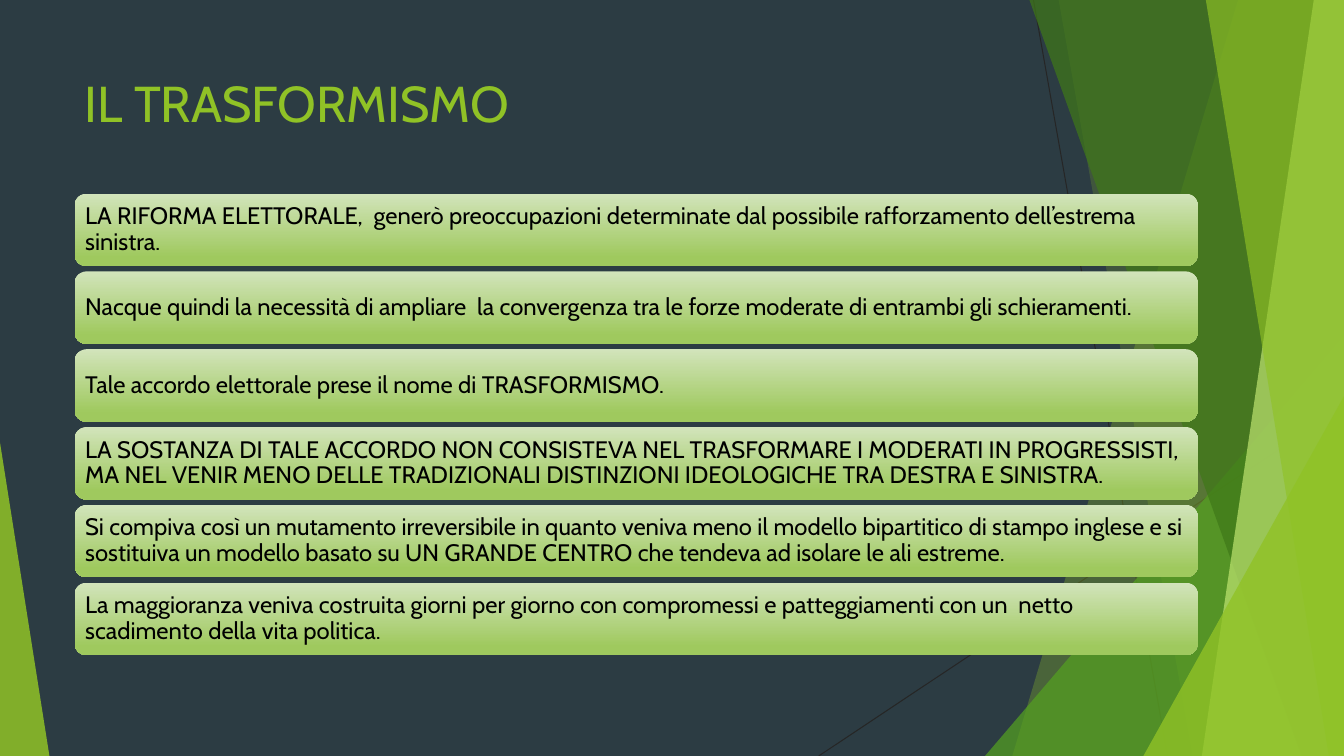
from dataclasses import dataclass

import pptx
import pptx.dml.color
import pptx.enum.shapes
import pptx.enum.text
import pptx.oxml.ns
import pptx.util
from lxml import etree

PX = 9144  # EMU per px, 100 px to the inch
W, H = 1333, 750
FONT = "Cabin"
GREEN = "90C226"
SHAPE = pptx.enum.shapes.MSO_SHAPE
ANCHOR = pptx.enum.text.MSO_ANCHOR
LEFT = pptx.enum.text.PP_ALIGN.LEFT


@dataclass
class Line:
    start: tuple[int, int]
    end: tuple[int, int]


@dataclass
class Band:
    """Strip from a slanted left edge to the slide's right side."""
    top_x: int
    bottom_x: int
    color: str
    opacity: int


@dataclass
class Triangle:
    x: int
    y: int
    w: int
    apex: float
    color: str
    opacity: int


LINES = [Line((1025, 0), (1158, H)), Line((W, 403), (812, H))]
FACETS = [
    Band(1228, 1004, GREEN, 30),
    Band(1050, 1183, GREEN, 20),
    Triangle(977, 333, 356, 1, "54A021", 72),
    Band(1021, 1291, "3F7818", 70),
    Band(1303, 1192, "BFE471", 70),
    Band(1196, 1318, GREEN, 65),
    Triangle(1134, 393, 199, 1, GREEN, 80),
    Triangle(0, 439, 49, 0, GREEN, 85),
]
POINTS = [
    "LA RIFORMA ELETTORALE,  generò preoccupazioni determinate dal possibile "
    "rafforzamento dell’estrema sinistra.",
    "Nacque quindi la necessità di ampliare  la convergenza tra le forze moderate "
    "di entrambi gli schieramenti.",
    "Tale accordo elettorale prese il nome di TRASFORMISMO.",
    "LA SOSTANZA DI TALE ACCORDO NON CONSISTEVA NEL TRASFORMARE I MODERATI IN "
    "PROGRESSISTI, MA NEL VENIR MENO DELLE TRADIZIONALI DISTINZIONI IDEOLOGICHE "
    "TRA DESTRA E SINISTRA.",
    "Si compiva così un mutamento irreversibile in quanto veniva meno il modello "
    "bipartitico di stampo inglese e si sostituiva un modello basato su UN GRANDE "
    "CENTRO che tendeva ad isolare le ali estreme.",
    "La maggioranza veniva costruita giorni per giorno con compromessi e "
    "patteggiamenti con un  netto scadimento della vita politica.",
]
FIRST_TOP, LAST_TOP = 192, 578


def px(*values: float) -> list[int]:
    return [round(v * PX) for v in values]


def rgb(color: str) -> pptx.dml.color.RGBColor:
    return pptx.dml.color.RGBColor.from_string(color)


def style_text(p, size: int, color: str) -> None:
    p.alignment = LEFT
    p.font.name = FONT
    p.font.size = pptx.util.Pt(size)
    p.font.color.rgb = rgb(color)


def set_insets(tf, x: int, y: int) -> None:
    tf.margin_left = tf.margin_right = x * PX
    tf.margin_top = tf.margin_bottom = y * PX


def draw_line(s, line: Line) -> None:
    c = s.shapes.add_connector(pptx.enum.shapes.MSO_CONNECTOR.STRAIGHT,
                               *px(*line.start, *line.end))
    c.line.color.rgb = rgb("262626")
    c.line.width = pptx.util.Pt(0.75)
    etree.SubElement(c._element.spPr, pptx.oxml.ns.qn("a:effectLst"))


def draw_facet(s, facet: Band | Triangle) -> None:
    if isinstance(facet, Band):
        builder = s.shapes.build_freeform(*px(facet.top_x, 0))
        corners = [(W, 0), (W, H), (facet.bottom_x, H)]
        builder.add_line_segments([px(*corner) for corner in corners], close=True)
        sp = builder.convert_to_shape()
    else:
        sp = s.shapes.add_shape(SHAPE.ISOSCELES_TRIANGLE,
                                *px(facet.x, facet.y, facet.w, H - facet.y))
        sp.adjustments[0] = facet.apex
    sp.shadow.inherit = False
    sp.line.fill.background()
    sp.fill.solid()
    sp.fill.fore_color.rgb = rgb(facet.color)
    color = sp._element.spPr.find(".//" + pptx.oxml.ns.qn("a:srgbClr"))
    alpha = etree.SubElement(color, pptx.oxml.ns.qn("a:alpha"))
    alpha.set("val", str(facet.opacity * 1000))


def draw_point(s, top: float, text: str) -> None:
    sp = s.shapes.add_shape(SHAPE.ROUNDED_RECTANGLE, *px(74, top, 1114, 72))
    sp.shadow.inherit = False
    sp.line.fill.background()
    sp.fill.gradient()
    sp.fill.gradient_angle = 270
    for stop, (position, color) in zip(sp.fill.gradient_stops,
                                       [(0, "D2E4BB"), (0.88, "9FC95E")]):
        stop.position = position
        stop.color.rgb = rgb(color)
    tf = sp.text_frame
    tf.word_wrap = True
    tf.vertical_anchor = ANCHOR.MIDDLE
    set_insets(tf, 7, 7)
    p = tf.paragraphs[0]
    p.text = text
    p.line_spacing = 0.9
    style_text(p, 17, "000000")


def main() -> None:
    prs = pptx.Presentation()
    prs.slide_width, prs.slide_height = px(W, H)
    s = prs.slides.add_slide(prs.slide_layouts[5])
    s.background.fill.solid()
    s.background.fill.fore_color.rgb = rgb("2C3C43")

    # Faceted backdrop
    for line in LINES:
        draw_line(s, line)
    for facet in FACETS:
        draw_facet(s, facet)

    # Title
    title = s.shapes.title
    title.left, title.top, title.width, title.height = px(74, 67, 940, 144)
    tf = title.text_frame
    tf.text = "IL TRASFORMISMO"
    tf.vertical_anchor = ANCHOR.TOP
    set_insets(tf, 10, 5)
    style_text(tf.paragraphs[0], 36, GREEN)

    # Evenly stacked points
    pitch = (LAST_TOP - FIRST_TOP) / (len(POINTS) - 1)
    for i, text in enumerate(POINTS):
        draw_point(s, FIRST_TOP + i * pitch, text)

    prs.save("out.pptx")


if __name__ == "__main__":
    main()
